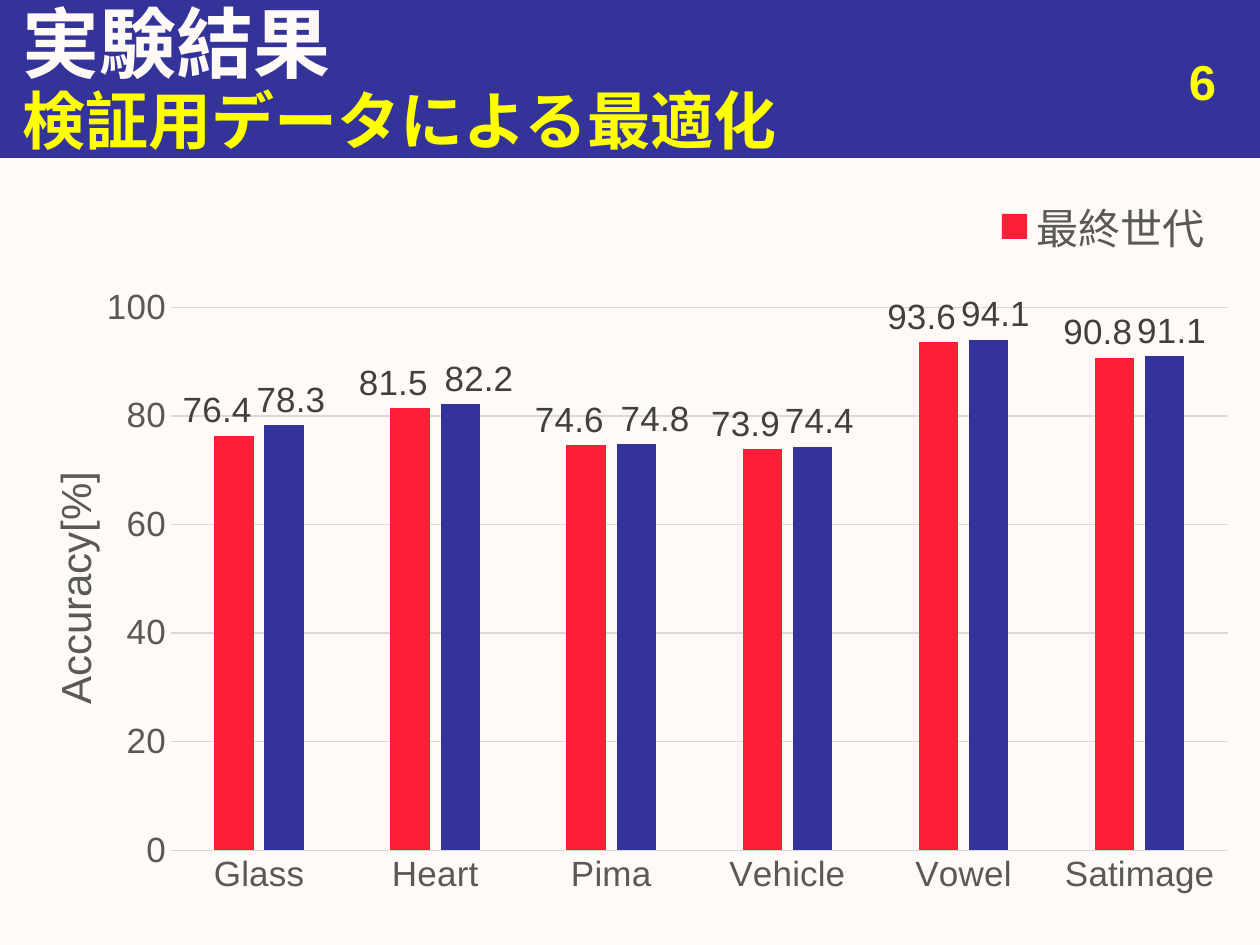
from lxml.etree import SubElement
from pptx import Presentation
from pptx.chart.data import CategoryChartData
from pptx.dml.color import RGBColor
from pptx.enum.chart import XL_CHART_TYPE as ChartType
from pptx.enum.chart import XL_LABEL_POSITION as LabelPosition
from pptx.enum.chart import XL_LEGEND_POSITION as LegendPosition
from pptx.enum.chart import XL_TICK_MARK as TickMark
from pptx.enum.shapes import MSO_SHAPE as Shape
from pptx.enum.text import MSO_ANCHOR as Anchor
from pptx.enum.text import PP_ALIGN as Align
from pptx.oxml.ns import qn
from pptx.util import Inches, Pt

FONT = "Arial"
CREAM = RGBColor(0xFF, 0xFA, 0xF5)
NAVY = RGBColor(0x33, 0x33, 0x99)
RED = RGBColor(0xFF, 0x1D, 0x38)
YELLOW = RGBColor(0xFF, 0xFF, 0x00)
GRAY = RGBColor(0x59, 0x59, 0x59)
DARK_GRAY = RGBColor(0x40, 0x40, 0x40)
LIGHT_GRAY = RGBColor(0xD9, 0xD9, 0xD9)

NUMBER_FORMAT = r"#,##0.0_);[Red]\(#,##0.0\)"
CATEGORIES = ["Glass", "Heart", "Pima", "Vehicle", "Vowel", "Satimage"]
# name, colour, values, sideways label shifts as fractions of the chart width
SERIES = [
    ("最終世代", RED, [76.4, 81.5, 74.6, 73.9, 93.6, 90.8],
     [-0.01, -0.01, -0.01, -0.01, -0.01, -0.01]),
    ("", NAVY, [78.3, 82.2, 74.8, 74.4, 94.1, 91.1],
     [0.01, 0.02, 0.02, 0.01, 0.01, 0.01]),
]


def set_font(font, size, color, bold=False):
    font.name = FONT
    font.size = Pt(size)
    font.bold = bold
    font.color.rgb = color


def add_text(slide, text, box, *, size, color, align=Align.LEFT, anchor=Anchor.MIDDLE):
    shape = slide.shapes.add_textbox(*(Inches(length) for length in box))
    frame = shape.text_frame
    frame.word_wrap = True
    frame.vertical_anchor = anchor
    paragraph = frame.paragraphs[0]
    paragraph.alignment = align
    run = paragraph.add_run()
    run.text = text
    set_font(run.font, size, color, bold=True)


def add_header_band(slide):
    band = slide.shapes.add_shape(Shape.RECTANGLE, 0, 0, Inches(10), Inches(1.25))
    band.shadow.inherit = False
    band.fill.solid()
    band.fill.fore_color.rgb = NAVY
    band.line.color.rgb = NAVY
    band.line.width = Pt(0.75)


def set_layout(parent, index, **settings):
    """Give a chart part a manual layout, as its child number index."""
    for old in parent.findall(qn("c:layout")):
        parent.remove(old)
    layout = SubElement(parent, qn("c:layout"))
    manual = SubElement(layout, qn("c:manualLayout"))
    for name, value in settings.items():
        SubElement(manual, qn(f"c:{name}")).set("val", str(value))
    parent.insert(index, layout)


def format_labels(labels):
    set_font(labels.font, 20, DARK_GRAY)
    labels.position = LabelPosition.OUTSIDE_END


def format_series(series, color, shifts):
    series.format.fill.solid()
    series.format.fill.fore_color.rgb = color
    series.invert_if_negative = False
    labels = series.data_labels
    labels.show_value = True
    labels.number_format = NUMBER_FORMAT
    labels.number_format_is_linked = False
    format_labels(labels)
    for index in range(len(shifts)):
        format_labels(series.points[index].data_label)
    for element, shift in zip(labels._element.findall(qn("c:dLbl")), shifts):
        set_layout(element, 1, x=shift, y=0)
        number_format = SubElement(element, qn("c:numFmt"))
        number_format.set("formatCode", NUMBER_FORMAT)
        number_format.set("sourceLinked", "0")
        element.insert(2, number_format)


def format_axes(chart):
    category_axis, value_axis = chart.category_axis, chart.value_axis
    for axis in (category_axis, value_axis):
        axis.major_tick_mark = axis.minor_tick_mark = TickMark.NONE
        set_font(axis.tick_labels.font, 20, GRAY)
    value_axis.minimum_scale = 0
    value_axis.maximum_scale = 100
    value_axis.major_unit = 20
    value_axis.tick_labels.number_format = "General"
    value_axis.tick_labels.number_format_is_linked = False
    value_axis.format.line.fill.background()
    for line in (category_axis.format.line, value_axis.major_gridlines.format.line):
        line.color.rgb = LIGHT_GRAY
        line.width = Pt(0.75)
    title = value_axis.axis_title
    run = title.text_frame.paragraphs[0].add_run()
    run.text = "Accuracy[%]"
    set_font(run.font, 24, GRAY)
    set_layout(title._element, 1, xMode="edge", yMode="edge", x=0, y=0.39)


def format_legend(chart):
    """Show the legend at the top right, with the named series only."""
    chart.has_legend = True
    legend = chart.legend
    legend.position = LegendPosition.RIGHT
    legend.include_in_layout = False
    set_font(legend.font, 24, GRAY)
    entry = SubElement(legend._element, qn("c:legendEntry"))
    SubElement(entry, qn("c:idx")).set("val", "1")
    SubElement(entry, qn("c:delete")).set("val", "1")
    legend._element.insert(1, entry)
    set_layout(legend._element, 2, xMode="edge", yMode="edge",
               x=0.8, y=0.03, w=0.19, h=0.08)


def add_accuracy_chart(slide):
    data = CategoryChartData(number_format="0.0")
    data.categories = CATEGORIES
    for name, _, values, _ in SERIES:
        data.add_series(name, values)
    chart = slide.shapes.add_chart(
        ChartType.COLUMN_CLUSTERED,
        Inches(0.32), Inches(1.38), Inches(9.43), Inches(5.9), data,
    ).chart
    chart.has_title = False
    chart.font.name = FONT
    chart.font.size = Pt(10)
    plot = chart.plots[0]
    plot.vary_by_categories = False
    plot.gap_width = 219
    plot.overlap = -27
    for series, (_, color, _, shifts) in zip(plot.series, SERIES):
        format_series(series, color, shifts)
    format_axes(chart)
    format_legend(chart)
    plot_area = chart._chartSpace.find(f".//{qn('c:plotArea')}")
    set_layout(plot_area, 0, layoutTarget="inner", xMode="edge", yMode="edge",
               x=0.11, y=0.18, w=0.89, h=0.73)


def main():
    presentation = Presentation()
    presentation.slide_width = Inches(10)
    presentation.slide_height = Inches(7.5)
    slide = presentation.slides.add_slide(presentation.slide_layouts[6])
    slide.background.fill.solid()
    slide.background.fill.fore_color.rgb = CREAM

    add_header_band(slide)
    add_text(slide, "実験結果", (0.08, 0, 9.92, 0.67), size=44, color=CREAM)
    add_text(slide, "6", (7.42, 0.36, 2.33, 0.52), size=28, color=YELLOW,
             align=Align.RIGHT, anchor=Anchor.TOP)
    add_text(slide, "検証用データによる最適化", (0.08, 0.63, 9.92, 0.63),
             size=36, color=YELLOW)
    add_accuracy_chart(slide)
    presentation.save("out.pptx")


if __name__ == "__main__":
    main()
